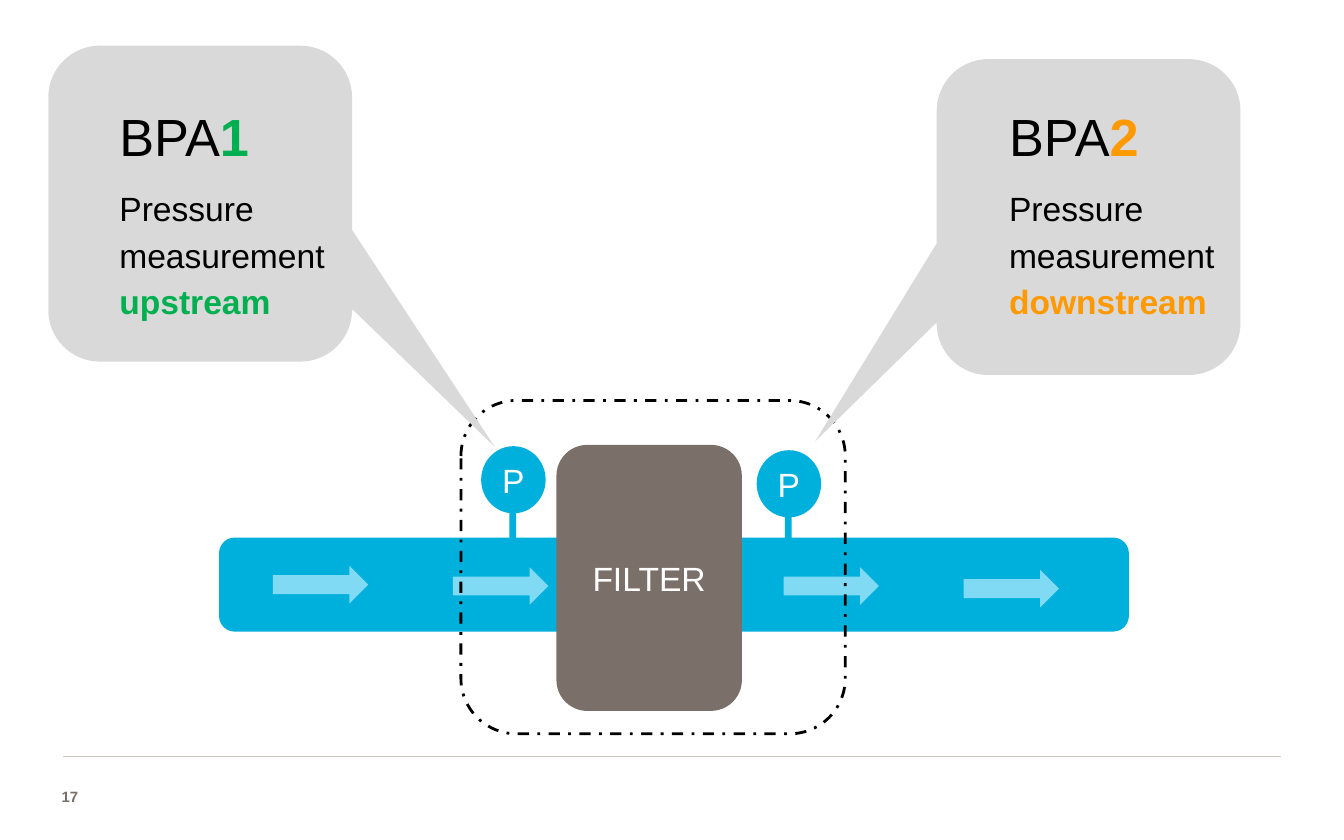
from dataclasses import dataclass

from lxml import etree
from pptx import Presentation
from pptx.dml.color import RGBColor
from pptx.enum.dml import MSO_LINE
from pptx.enum.shapes import MSO_CONNECTOR, MSO_SHAPE
from pptx.enum.text import MSO_ANCHOR, PP_ALIGN
from pptx.oxml.ns import qn
from pptx.util import Inches, Pt

ROUND_RECT = MSO_SHAPE.ROUNDED_RECTANGLE
RECT = MSO_SHAPE.RECTANGLE
OVAL = MSO_SHAPE.OVAL
ARROW = MSO_SHAPE.RIGHT_ARROW
CALLOUT = MSO_SHAPE.ROUNDED_RECTANGULAR_CALLOUT
STRAIGHT = MSO_CONNECTOR.STRAIGHT
DASH_DOT = MSO_LINE.DASH_DOT
MIDDLE = MSO_ANCHOR.MIDDLE
CENTER = PP_ALIGN.CENTER


@dataclass(frozen=True)
class Theme:
    font: str = "Arial"
    pipe: str = "00B0DC"
    flow: str = "80DAF3"
    filter: str = "7A6F69"
    callout: str = "D9D9D9"
    rule: str = "CBC7BF"
    text: str = "000000"
    light: str = "FFFFFF"
    upstream: str = "00B050"
    downstream: str = "FF9900"
    title_size: int = 28
    body_size: int = 18
    number_size: int = 8


THEME = Theme()


def rgb(value):
    return RGBColor.from_string(value)


def add_run(p, text, size, color, bold=False):
    r = p.add_run()
    r.text = text
    r.font.name = THEME.font
    r.font.size = Pt(size)
    r.font.bold = bold
    r.font.color.rgb = rgb(color)


def add_block(s, kind, x, y, w, h, fill, label=None):
    sp = s.shapes.add_shape(kind, Inches(x), Inches(y), Inches(w), Inches(h))
    sp.shadow.inherit = False
    sp.line.fill.background()
    if fill:
        sp.fill.solid()
        sp.fill.fore_color.rgb = rgb(fill)
    else:
        sp.fill.background()
    if label:
        tf = sp.text_frame
        tf.margin_left = tf.margin_right = 0
        tf.vertical_anchor = MIDDLE
        p = tf.paragraphs[0]
        p.alignment = CENTER
        add_run(p, label, THEME.body_size, THEME.light)
    return sp


def add_text_box(s, x, y, w, h):
    sp = s.shapes.add_textbox(Inches(x), Inches(y), Inches(w), Inches(h))
    sp.text_frame.word_wrap = True
    return sp.text_frame


def add_gauge(s, x, y):
    add_block(s, OVAL, x, y, 0.48, 0.5, THEME.pipe, "P")
    add_block(s, RECT, x + 0.21, y + 0.45, 0.05, 0.28, THEME.pipe)


def add_boundary(s, x, y, w, h):
    sp = add_block(s, ROUND_RECT, x, y, w, h, None)
    sp.line.color.rgb = rgb(THEME.text)
    sp.line.width = Pt(1.5)
    sp.line.dash_style = DASH_DOT


def add_callout(s, x, y, pointer):
    sp = add_block(s, CALLOUT, x, y, 2.26, 2.35, THEME.callout)
    for i, value in enumerate((*pointer, 0.17)):
        sp.adjustments[i] = value


def add_description(s, x, number, side, color):
    tf = add_text_box(s, x, 0.66, 2.27, 1.71)
    title = tf.paragraphs[0]
    add_run(title, "BPA", THEME.title_size, THEME.text)
    add_run(title, number, THEME.title_size, color, True)
    body = tf.add_paragraph()
    body.space_before = Pt(8)
    add_run(body, "Pressure measurement ", THEME.body_size, THEME.text)
    add_run(body, side, THEME.body_size, color, True)
    for p in tf.paragraphs:
        p.line_spacing = 1.15


def add_footer(s, number):
    y = Inches(5.63)
    rule = s.shapes.add_connector(STRAIGHT, Inches(0.47), y, Inches(9.53), y)
    rule.line.color.rgb = rgb(THEME.rule)
    rule.line.width = Pt(0.5)
    etree.SubElement(rule._element.spPr, qn("a:effectLst"))
    tf = add_text_box(s, 0.36, 5.76, 0.43, 0.33)
    tf.vertical_anchor = MIDDLE
    add_run(tf.paragraphs[0], number, THEME.number_size, THEME.filter, True)


def main():
    prs = Presentation()
    prs.slide_width = Inches(10)
    prs.slide_height = Inches(6.25)
    s = prs.slides.add_slide(prs.slide_layouts[6])

    add_footer(s, "17")
    add_block(s, ROUND_RECT, 1.63, 4, 6.77, 0.7, THEME.pipe)
    add_block(s, ROUND_RECT, 4.14, 3.31, 1.38, 1.98, THEME.filter, "FILTER")
    for x, y in ((2.03, 4.21), (3.37, 4.22), (5.83, 4.22), (7.17, 4.24)):
        add_block(s, ARROW, x, y, 0.71, 0.28, THEME.flow)
    add_boundary(s, 3.43, 2.98, 2.86, 2.48)
    add_callout(s, 6.97, 0.44, (-0.9, 0.71))
    add_callout(s, 0.36, 0.34, (0.97, 0.77))
    add_description(s, 0.79, "1", "upstream", THEME.upstream)
    add_description(s, 7.41, "2", "downstream", THEME.downstream)
    add_gauge(s, 3.58, 3.32)
    add_gauge(s, 5.63, 3.35)

    prs.save("out.pptx")


if __name__ == "__main__":
    main()
